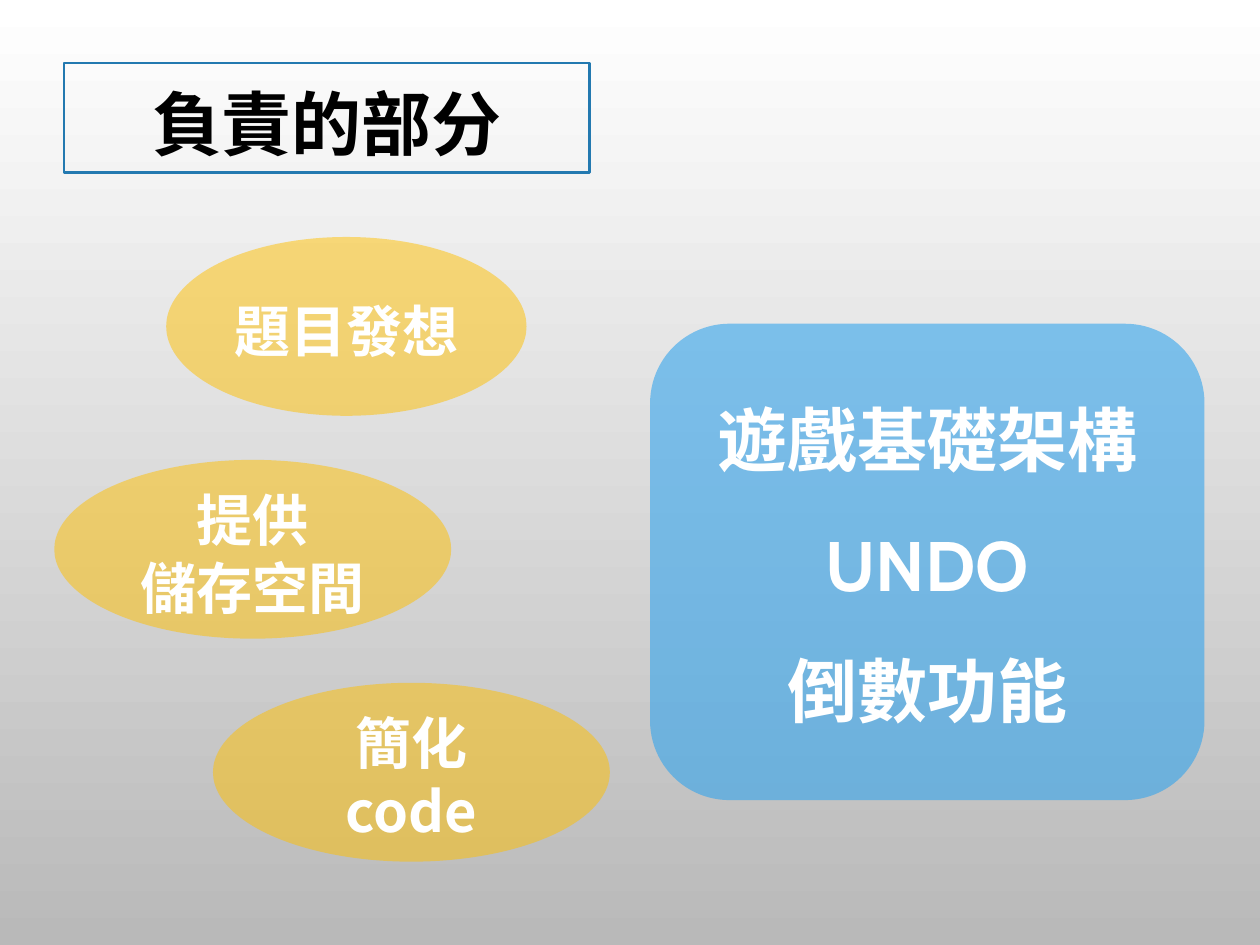
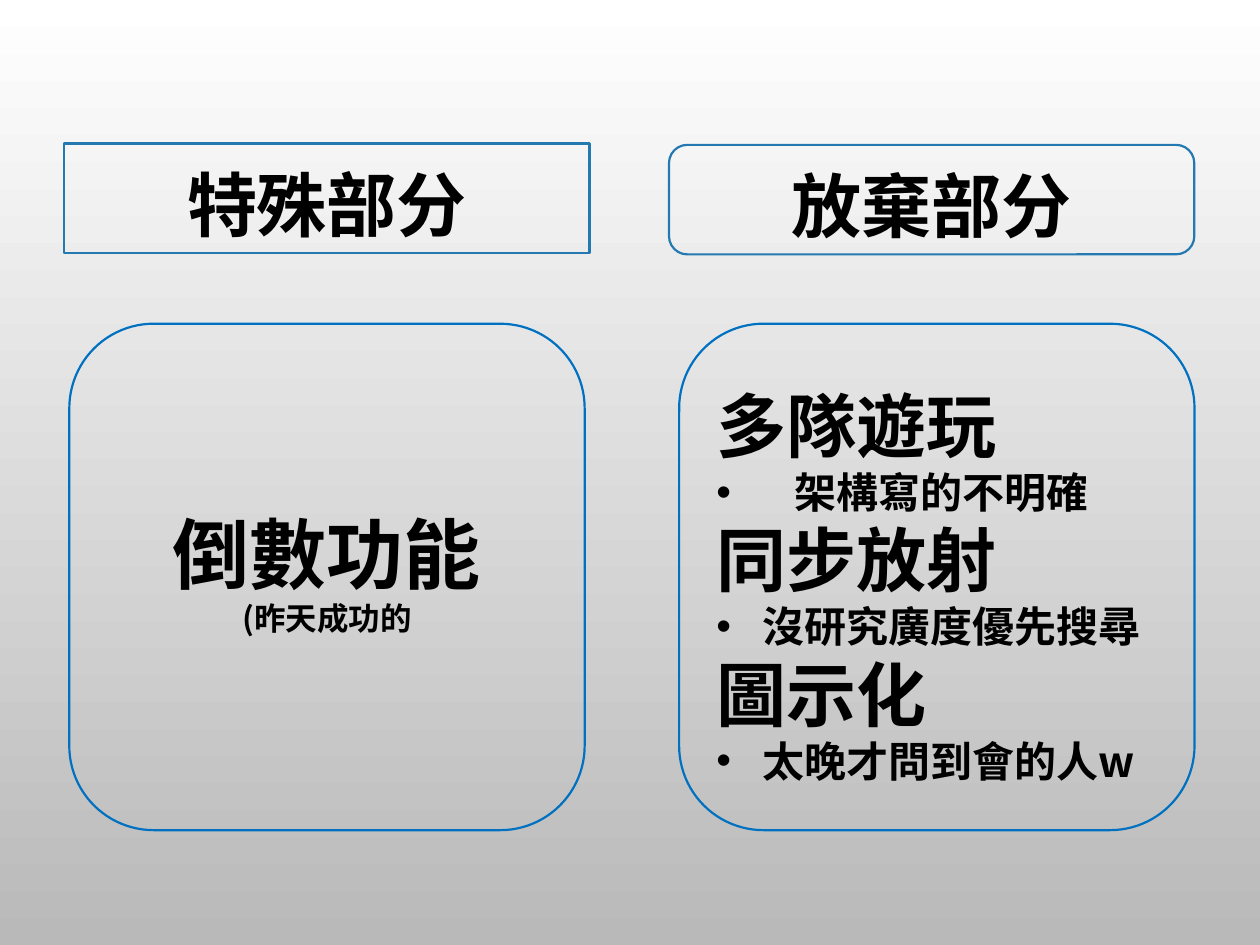
"""Two slides on a game project: the work done, and what was special or dropped."""
from dataclasses import dataclass

from lxml import etree
from pptx import Presentation
from pptx.dml.color import RGBColor
from pptx.enum import shapes, text
from pptx.oxml import ns
from pptx.util import Pt


@dataclass(frozen=True)
class Theme:
    """Colours, fonts and type sizes of the deck."""
    backdrop: tuple = ("FFFFFF", "B9B9B9")
    ink: str = "000000"
    paper: str = "FFFFFF"
    heading_line: str = "2379B0"
    panel_line: str = "0070C0"
    feature_fill: str = "2FA3EE"
    idea_fill: str = "FFC000"
    feature_opacity: int = 58
    idea_opacity: int = 50
    font: str = "Noto Sans CJK SC"
    feature_font: str = "Cabin"
    heading: int = 40
    highlight: int = 44
    idea: int = 32
    detail: int = 24
    remark: int = 18
    leading: float = 1.2
    line_width: float = 1.25


def add_xml(parent, tag, **attributes):
    """Append a DrawingML element to parent and return it."""
    return etree.SubElement(parent, ns.qn(tag), attributes)


class Deck:
    """Holds the theme and the current slide, and draws each kind of element."""

    def __init__(self, theme):
        """Start a 4:3 deck with the shared gradient background."""
        self.theme = theme
        self.prs = Presentation()
        self.prs.slide_width, self.prs.slide_height = Pt(720), Pt(540)
        backdrop = self.prs.slide_master.background.fill
        backdrop.gradient()
        backdrop.gradient_angle = 270
        for stop, position, colour in zip(backdrop.gradient_stops, (0, 1), theme.backdrop):
            stop.position = position
            stop.color.rgb = RGBColor.from_string(colour)

    def new_slide(self):
        """Add a title-only slide and make it current."""
        self.slide = self.prs.slides.add_slide(self.prs.slide_layouts[5])

    def block(self, kind, box):
        """Add a preset shape without shadow at a box given in points."""
        block = self.slide.shapes.add_shape(kind, *map(Pt, box))
        block.shadow.inherit = False
        return block

    def fill(self, block, colour, opacity):
        """Give a block a translucent fill and no outline."""
        block.fill.solid()
        block.fill.fore_color.rgb = RGBColor.from_string(colour)
        swatch = block._element.spPr.find(".//" + ns.qn("a:srgbClr"))
        add_xml(swatch, "a:alpha", val=str(opacity * 1000))
        block.line.fill.background()

    def outline(self, block, colour):
        """Give a block an outline and no fill."""
        block.fill.background()
        block.line.color.rgb = RGBColor.from_string(colour)
        block.line.width = Pt(self.theme.line_width)

    def set_lines(self, block, lines, colour, lift=0, side=7.2, font=None,
                  spacing=None, align=text.PP_ALIGN.CENTER):
        """Set (text, size) lines in the middle of a block, raised by lift points."""
        font = font or self.theme.font
        frame = block.text_frame
        frame.word_wrap = True
        frame.auto_size = text.MSO_AUTO_SIZE.NONE
        frame.vertical_anchor = text.MSO_ANCHOR.MIDDLE
        frame.margin_left = frame.margin_right = Pt(side)
        frame.margin_top = Pt(3.6 + 2 * max(-lift, 0))
        frame.margin_bottom = Pt(3.6 + 2 * max(lift, 0))
        frame.text = "\n".join(words for words, _ in lines)
        for paragraph, (_, size) in zip(frame.paragraphs, lines):
            paragraph.alignment = align
            paragraph.line_spacing = spacing or Pt(size * self.theme.leading)
            for run in paragraph.runs:
                run.font.size = Pt(size)
                run.font.bold = True
                run.font.name = font
                run.font.color.rgb = RGBColor.from_string(colour)
                add_xml(run._r.get_or_add_rPr(), "a:ea", typeface=font)

    def heading(self, words, left, top, is_title=False):
        """Draw a rounded heading box, as the slide's title if asked."""
        box = (left, top, 300.2, 62.6)
        if is_title:
            block = self.slide.shapes.title
            block.left, block.top, block.width, block.height = map(Pt, box)
            shape_form = add_xml(block._element.spPr, "a:prstGeom", prst="roundRect")
            add_xml(shape_form, "a:avLst")
        else:
            block = self.block(shapes.MSO_SHAPE.ROUNDED_RECTANGLE, box)
        self.outline(block, self.theme.heading_line)
        self.set_lines(block, [(words, self.theme.heading)], self.theme.ink, lift=-2.8)

    def idea(self, lines, left, top, width, side=7.2):
        """Draw a yellow ellipse naming a contribution."""
        block = self.block(shapes.MSO_SHAPE.OVAL, (left, top, width, 102.2))
        self.fill(block, self.theme.idea_fill, self.theme.idea_opacity)
        self.set_lines(block, [(words, self.theme.idea) for words in lines],
                       self.theme.paper, lift=-2.2, side=side)

    def features(self, lines, box):
        """Draw the blue panel that lists the main features."""
        block = self.block(shapes.MSO_SHAPE.ROUNDED_RECTANGLE, box)
        self.fill(block, self.theme.feature_fill, self.theme.feature_opacity)
        self.set_lines(block, [(words, self.theme.heading) for words in lines],
                       self.theme.paper, lift=10.8, font=self.theme.feature_font, spacing=1.5)

    def panel(self, lines, left, lift, align=text.PP_ALIGN.CENTER):
        """Draw an outlined panel under a heading and return its paragraphs."""
        block = self.block(shapes.MSO_SHAPE.ROUNDED_RECTANGLE, (left, 185, 294.5, 289.4))
        self.outline(block, self.theme.panel_line)
        self.set_lines(block, lines, self.theme.ink, lift=lift, align=align)
        return block.text_frame.paragraphs

    def dropped(self, items, left):
        """Draw a panel of (topic, reason, indent) with a bullet for each reason."""
        lines = []
        for topic, reason, _ in items:
            lines += [(topic, self.theme.heading), (reason, self.theme.detail)]
        paragraphs = self.panel(lines, left, lift=-4, align=text.PP_ALIGN.LEFT)
        for paragraph, (_, _, indent) in zip(paragraphs[1::2], items):
            properties = paragraph._p.get_or_add_pPr()
            properties.set("marL", str(int(Pt(indent))))
            properties.set("indent", str(-int(Pt(indent))))
            add_xml(properties, "a:buFont", typeface="Arial")
            add_xml(properties, "a:buChar", char="•")


def contributions(deck):
    """Build the slide on the parts each one was responsible for."""
    deck.new_slide()
    deck.features(["遊戲基礎架構", "UNDO", "倒數功能"], (371.5, 185, 316.8, 272.2))
    deck.heading("負責的部分", 36.7, 36, is_title=True)
    first_top, step = 135.4, 127.4
    ideas = [(["題目發想"], 95, 205.9, 7.2),
             (["提供", "儲存空間"], 31, 226.8, 7.2),
             (["簡化code"], 121.7, 226.8, 12)]
    for row, (lines, left, width, side) in enumerate(ideas):
        deck.idea(lines, left, first_top + row * step, width, side)


def special_and_dropped(deck):
    """Build the slide comparing the special part with the dropped parts."""
    deck.new_slide()
    deck.heading("特殊部分", 36.7, 82, is_title=True)
    deck.heading("放棄部分", 382.3, 82.8)
    deck.panel([("倒數功能", deck.theme.highlight), ("(昨天成功的", deck.theme.remark)],
               39.6, lift=3)
    deck.dropped([("多隊遊玩", "架構寫的不明確", 44.6),
                  ("同步放射", "沒研究廣度優先搜尋", 26.6),
                  ("圖示化", "太晚才問到會的人w", 26.6)], 388.1)


def main():
    """Build and save the deck."""
    deck = Deck(Theme())
    contributions(deck)
    special_and_dropped(deck)
    deck.prs.save("out.pptx")


main()
